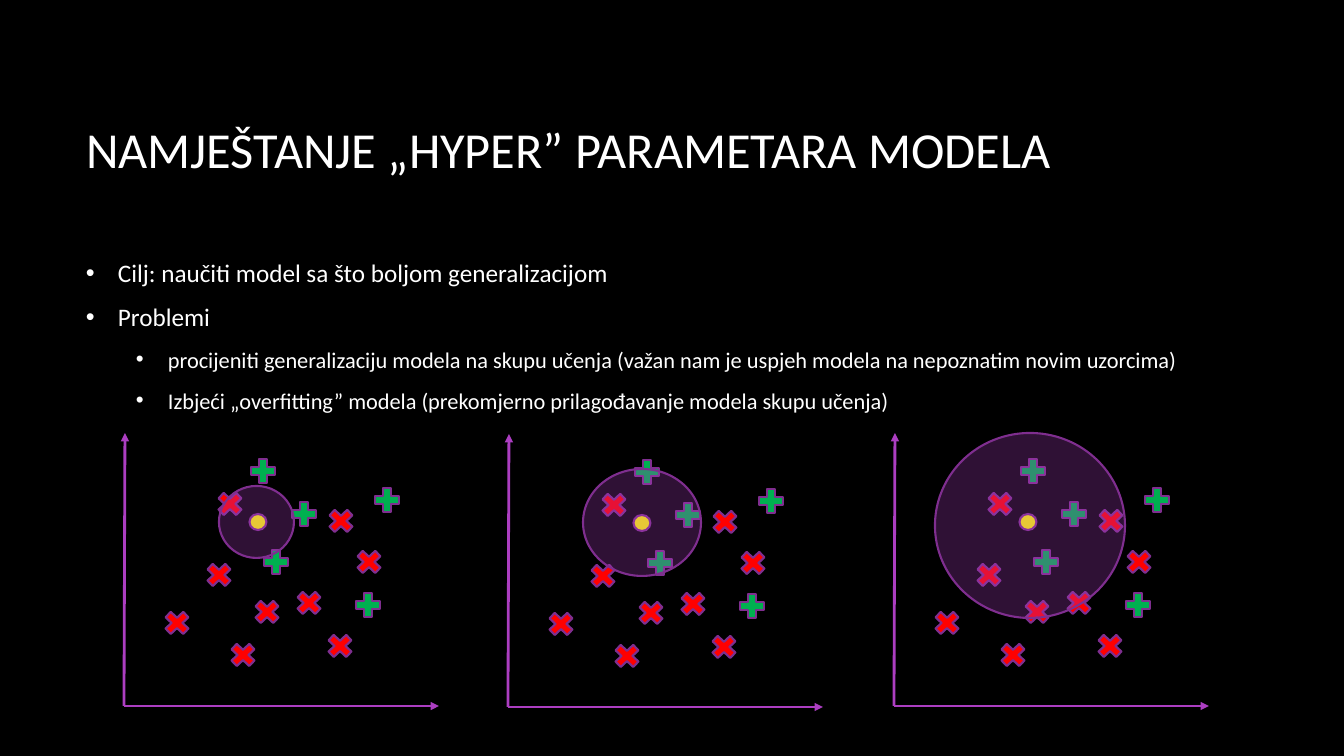
from pptx import Presentation
from pptx.dml.color import RGBColor
from pptx.enum.shapes import MSO_CONNECTOR, MSO_SHAPE
from pptx.enum.text import MSO_ANCHOR, MSO_AUTO_SIZE, PP_ALIGN
from pptx.oxml.ns import qn
from pptx.util import Pt
from lxml import etree

EMU_PER_PX = 914400 / 100.8
FONT = "Calibri"
BLACK = RGBColor(0x00, 0x00, 0x00)
WHITE = RGBColor(0xFF, 0xFF, 0xFF)
PURPLE = RGBColor(0xAC, 0x3E, 0xC1)
OUTLINE = RGBColor(0x7F, 0x2E, 0x8F)
RED = RGBColor(0xFF, 0x00, 0x00)
GREEN = RGBColor(0x00, 0xB0, 0x50)
YELLOW = RGBColor(0xFF, 0xFF, 0x00)

TITLE = "NAMJEŠTANJE „HYPER” PARAMETARA MODELA"
BULLETS = [
    (0, "Cilj: naučiti model sa što boljom generalizacijom"),
    (0, "Problemi"),
    (1, "procijeniti generalizaciju modela na skupu učenja "
        "(važan nam je uspjeh modela na nepoznatim novim uzorcima)"),
    (1, "Izbjeći „overfitting” modela (prekomjerno prilagođavanje modela skupu učenja)"),
]
BULLET_STYLES = [(18, 32), (16, 82)]  # text size in points, left indent in pixels
HANGING = 32

# Sample centres and sizes, relative to the top left of a plot
CROSSES = [(53, 190), (119, 222), (95, 142), (185, 170), (106, 71),
           (217, 88), (245, 129), (216, 213), (143, 179)]
PLUSES = [(152, 129), (180, 81), (244, 172), (139, 38), (263, 67)]
QUERY = [(134, 89)]
SAMPLES = [
    (MSO_SHAPE.MATH_MULTIPLY, RED, (34, 32), CROSSES),
    (MSO_SHAPE.MATH_PLUS, GREEN, (32, 32), PLUSES),
    (MSO_SHAPE.OVAL, YELLOW, (17, 16), QUERY),
]
# Plot box, then the neighbourhood circle relative to it
PLOTS = [
    ((124, 433, 315, 273), (95, 53, 75, 72)),
    ((508, 434, 315, 273), (75, 35, 118, 107)),
    ((894, 433, 315, 273), (41, 0, 190, 185)),
]


def px(*values):
    """Turn pixels into EMU."""
    return [round(value * EMU_PER_PX) for value in values]


def format_run(run, size):
    """Give a run the slide's font and colour."""
    run.font.name, run.font.size = FONT, Pt(size)
    run.font.color.rgb = WHITE


def add_title(slide, box):
    """Fill and place the title placeholder."""
    title = slide.shapes.title
    title.left, title.top, title.width, title.height = px(*box)
    frame = title.text_frame
    frame.text = TITLE
    frame.word_wrap, frame.auto_size = True, MSO_AUTO_SIZE.NONE
    frame.vertical_anchor = MSO_ANCHOR.MIDDLE
    frame.paragraphs[0].alignment = PP_ALIGN.LEFT
    format_run(frame.paragraphs[0].runs[0], 36)


def add_bullets(slide, box):
    """Write the two-level bullet list in the box."""
    frame = slide.shapes.add_textbox(*px(*box)).text_frame
    frame.word_wrap, frame.vertical_anchor = True, MSO_ANCHOR.MIDDLE
    for index, (level, text) in enumerate(BULLETS):
        paragraph = frame.paragraphs[0] if index == 0 else frame.add_paragraph()
        size, indent = BULLET_STYLES[level]
        paragraph.level, paragraph.space_after = level, Pt(10)
        run = paragraph.add_run()
        run.text = text
        format_run(run, size)
        properties = paragraph._p.get_or_add_pPr()
        left, hanging = px(indent, HANGING)
        properties.set("marL", str(left))
        properties.set("indent", str(-hanging))
        etree.SubElement(properties, qn("a:buFont")).set("typeface", "Arial")
        etree.SubElement(properties, qn("a:buChar")).set("char", "•")


def add_axis(slide, start, end):
    """Draw an arrow from start to end."""
    axis = slide.shapes.add_connector(MSO_CONNECTOR.STRAIGHT, *px(*start, *end))
    axis.line.color.rgb, axis.line.width = PURPLE, Pt(2)
    etree.SubElement(axis.line._get_or_add_ln(), qn("a:tailEnd")).set("type", "triangle")
    etree.SubElement(axis._element.spPr, qn("a:effectLst"))


def add_marker(slide, kind, box, color):
    """Draw one filled, outlined shape in the box."""
    marker = slide.shapes.add_shape(kind, *px(*box))
    marker.shadow.inherit = False
    marker.fill.solid()
    marker.fill.fore_color.rgb = color
    marker.line.color.rgb, marker.line.width = OUTLINE, Pt(1.5)
    return marker


def add_plot(slide, box, circle):
    """Draw axes, samples and the see-through neighbourhood circle."""
    left, top, width, height = box
    origin = (left, top + height)
    add_axis(slide, origin, (left + 1, top))
    add_axis(slide, origin, (left + width, top + height))
    for kind, color, (w, h), centres in SAMPLES:
        for x, y in centres:
            add_marker(slide, kind, (left + x - w / 2, top + y - h / 2, w, h), color)
    x, y, w, h = circle
    neighbourhood = add_marker(slide, MSO_SHAPE.OVAL, (left + x, top + y, w, h), PURPLE)
    color = neighbourhood._element.spPr.find(qn("a:solidFill"))[0]
    etree.SubElement(color, qn("a:alpha")).set("val", "28000")


def main():
    """Build and save the slide."""
    deck = Presentation()
    deck.slide_width, deck.slide_height = px(1344, 756)
    slide = deck.slides.add_slide(deck.slide_layouts[5])
    slide.background.fill.solid()
    slide.background.fill.fore_color.rgb = BLACK
    add_title(slide, (76, 68, 1117, 160))
    add_bullets(slide, (76, 236, 1117, 199))
    for box, circle in PLOTS:
        add_plot(slide, box, circle)
    deck.save("out.pptx")


main()
